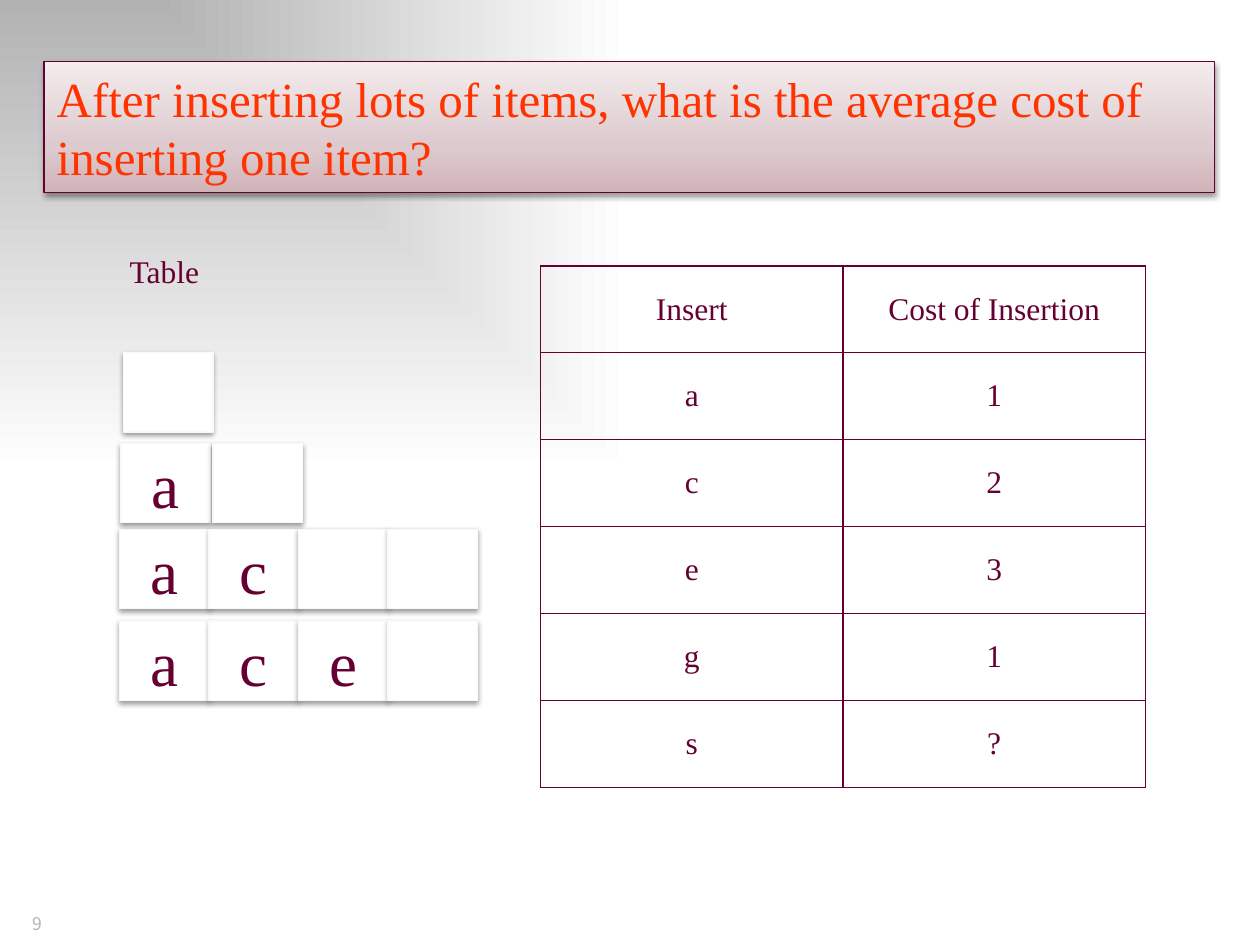
from lxml import etree
from pptx import Presentation
from pptx import util as u
from pptx.dml.color import RGBColor
from pptx.enum import shapes, text
from pptx.oxml.ns import qn

TITLE = ("After inserting lots of items, what is the average cost of "
         "inserting one item?")
COSTS = [("Insert", "Cost of Insertion"), ("a", "1"), ("c", "2"),
         ("e", "3"), ("g", "1"), ("s", "?")]
# Growth of the array: left and top of each state, pitch of its cells, contents
STATES = [
    (0.98, 2.80, 0.71, [""]),
    (0.96, 3.52, 0.73, ["a", ""]),
    (0.95, 4.20, 0.71, ["a", "c", "", ""]),
    (0.95, 4.93, 0.71, ["a", "c", "e", ""]),
]
SLOT_W, SLOT_H = 0.71, 0.63
COST_LEFT, COST_TOP, COST_COL, COST_ROW = 4.29, 2.11, 2.4, 0.69
PLUM = "660033"
SERIF = "Times New Roman"


def rgb(value):
    return RGBColor.from_string(value)


def inches(*lengths):
    return [u.Inches(length) for length in lengths]


def add_xml(parent, tag, **attributes):
    return etree.SubElement(parent, qn(tag),
                            {key: str(value) for key, value in attributes.items()})


def write(frame, words, size=18, font=SERIF, color=PLUM,
          align=text.PP_ALIGN.LEFT, anchor=text.MSO_ANCHOR.TOP):
    frame.word_wrap = True
    frame.vertical_anchor = anchor
    paragraph = frame.paragraphs[0]
    paragraph.alignment = align
    run = paragraph.add_run()
    run.text = words
    run.font.size = u.Pt(size)
    run.font.name = font
    run.font.color.rgb = rgb(color)
    for script in ("a:ea", "a:cs"):
        add_xml(run.font._element, script, typeface=font)


def set_gradient(fill, element, stops, angle=None):
    """Give stops as (percent, colour); without an angle it spreads from the top left."""
    fill.gradient()
    gradient = element.find(".//" + qn("a:gradFill"))
    for child in list(gradient):
        gradient.remove(child)
    stop_list = add_xml(gradient, "a:gsLst")
    for percent, color in stops:
        stop = add_xml(stop_list, "a:gs", pos=percent * 1000)
        add_xml(stop, "a:srgbClr", val=color)
    if angle is None:
        spread = add_xml(gradient, "a:path", path="rect")
        add_xml(spread, "a:fillToRect", r=100000, b=100000)
    else:
        add_xml(gradient, "a:lin", ang=angle * 60000, scaled=0)


def outline_with_shadow(shape, color):
    shape.line.color.rgb = rgb(color)
    shape.line.width = u.Pt(0.75)
    shape.shadow.inherit = False
    effects = shape._element.spPr.find(qn("a:effectLst"))
    shadow = add_xml(effects, "a:outerShdw", blurRad=u.Pt(3.1), dist=u.Pt(1.6),
                     dir=90 * 60000, rotWithShape=0)
    add_xml(add_xml(shadow, "a:srgbClr", val="000000"), "a:alpha", val=38000)


def add_label(slide, box, words, **style):
    label = slide.shapes.add_textbox(*inches(*box))
    write(label.text_frame, words, **style)


def add_states(slide):
    for left, top, pitch, items in STATES:
        for index, item in enumerate(items):
            slot = slide.shapes.add_shape(
                shapes.MSO_SHAPE.RECTANGLE,
                *inches(left + index * pitch, top, SLOT_W, SLOT_H))
            slot.fill.solid()
            slot.fill.fore_color.rgb = rgb("FFFFFF")
            outline_with_shadow(slot, "F9F9F9")
            if item:
                write(slot.text_frame, item, size=36, align=text.PP_ALIGN.CENTER,
                      anchor=text.MSO_ANCHOR.MIDDLE)


def border(cell):
    properties = cell._tc.get_or_add_tcPr()
    for position, side in enumerate(("a:lnL", "a:lnR", "a:lnT", "a:lnB")):
        line = add_xml(properties, side, w=u.Pt(1))
        add_xml(add_xml(line, "a:solidFill"), "a:srgbClr", val=PLUM)
        properties.insert(position, line)


def add_costs(slide):
    rows, columns = len(COSTS), len(COSTS[0])
    table = slide.shapes.add_table(
        rows, columns, *inches(COST_LEFT, COST_TOP, columns * COST_COL,
                               rows * COST_ROW)).table
    table.first_row = table.horz_banding = False
    for row, values in enumerate(COSTS):
        for column, value in enumerate(values):
            cell = table.cell(row, column)
            cell.fill.background()
            border(cell)
            cell.vertical_anchor = text.MSO_ANCHOR.MIDDLE
            write(cell.text_frame, value, align=text.PP_ALIGN.CENTER,
                  anchor=None)


def format_title(title):
    title.left, title.top, title.width, title.height = inches(0.35, 0.49, 9.29, 1.04)
    set_gradient(title.fill, title._element,
                 [(0, "D0B3B9"), (35, "DDCACE"), (100, "F3EBEC")], angle=270)
    outline_with_shadow(title, "640032")
    write(title.text_frame, TITLE, size=28, color="FF3300")
    title.text_frame.auto_size = text.MSO_AUTO_SIZE.SHAPE_TO_FIT_TEXT


def main():
    deck = Presentation()
    deck.slide_width, deck.slide_height = inches(10, 7.5)
    slide = deck.slides.add_slide(deck.slide_layouts[5])
    set_gradient(slide.background.fill, slide._element,
                 [(0, "B2B2B2"), (100, "FFFFFF")])
    format_title(slide.shapes.title)
    add_label(slide, (0.16, 6.96, 2.08, 0.5), "9", size=10,
              font="Noto Sans CJK SC", color="AEB6BB",
              anchor=text.MSO_ANCHOR.BOTTOM)
    add_label(slide, (0.93, 1.95, 1.18, 0.4), "Table")
    add_states(slide)
    add_costs(slide)
    deck.save("out.pptx")


if __name__ == "__main__":
    main()
